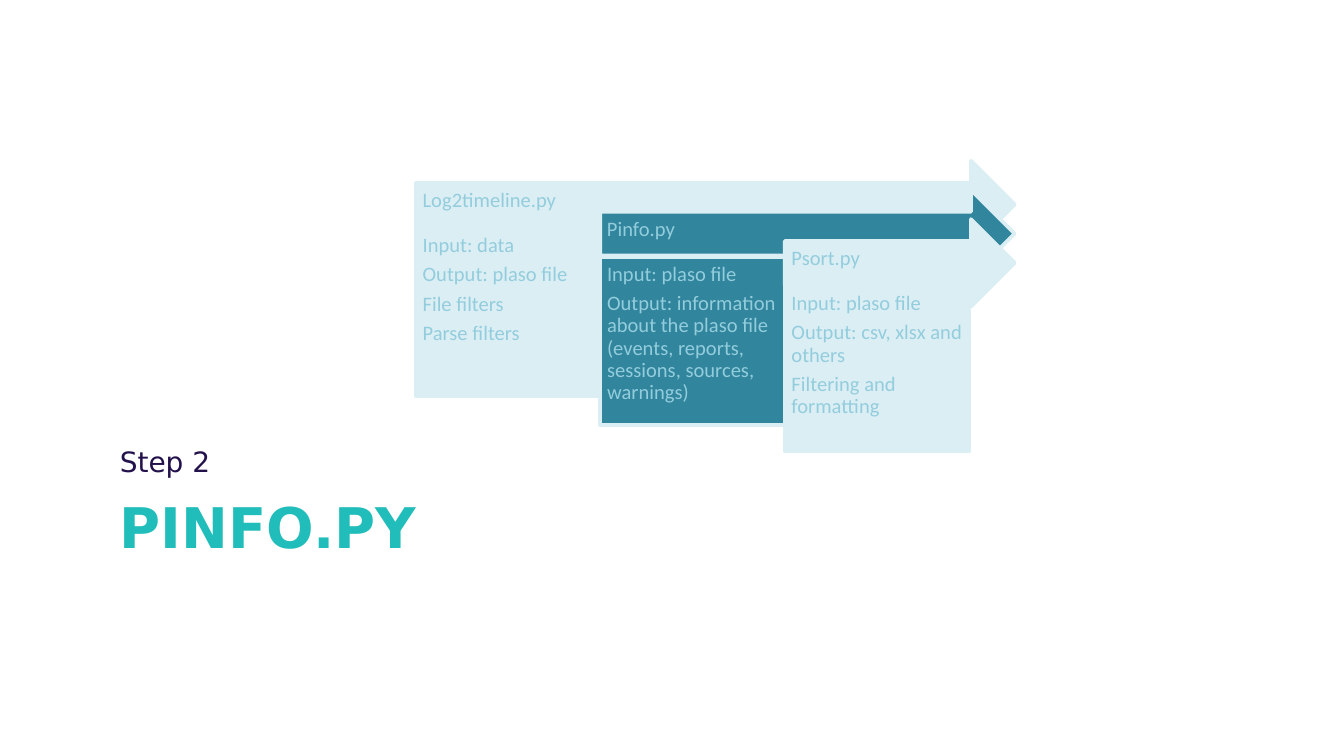
from pptx import Presentation
from pptx.dml.color import RGBColor
from pptx.enum import shapes, text
from pptx.util import Pt

PALE, DEEP, SKY = "DBEEF4", "31859C", "93CDDD"
TEAL, NAVY = "20BDBA", "23114C"


def rgb(value):
    return RGBColor.from_string(value)


class StepSlide:
    label_font = "Calibri"
    heading_font = "DejaVu Sans"

    def __init__(self, slide):
        self.slide = slide

    def format_runs(self, paragraph, font, size, color, bold=False):
        for run in paragraph.runs:
            run.font.name = font
            run.font.size = Pt(size)
            run.font.bold = bold
            run.font.color.rgb = rgb(color)

    def heading(self, placeholder, wording, top, height, size, color, anchor, bold=False):
        placeholder.left, placeholder.top = Pt(57), Pt(top)
        placeholder.width, placeholder.height = Pt(612), Pt(height)
        frame = placeholder.text_frame
        frame.text = wording
        frame.word_wrap = True
        frame.auto_size = text.MSO_AUTO_SIZE.NONE
        frame.vertical_anchor = anchor
        paragraph = frame.paragraphs[0]
        paragraph.alignment = text.PP_ALIGN.LEFT
        paragraph.space_before = Pt(0)
        self.format_runs(paragraph, self.heading_font, size, color, bold)

    def block(self, kind, left, top, width, height, fill, wording, anchor, inset_bottom):
        block = self.slide.shapes.add_shape(kind, Pt(left), Pt(top), Pt(width), Pt(height))
        block.shadow.inherit = False
        block.fill.solid()
        block.fill.fore_color.rgb = rgb(fill)
        block.line.color.rgb = rgb(PALE)
        block.line.width = Pt(2)
        frame = block.text_frame
        frame.text = wording
        frame.word_wrap = True
        frame.vertical_anchor = anchor
        frame.margin_left = frame.margin_top = frame.margin_right = Pt(3.6)
        frame.margin_bottom = Pt(inset_bottom)
        for paragraph in frame.paragraphs:
            paragraph.alignment = text.PP_ALIGN.LEFT
            paragraph.line_spacing = 0.9
            paragraph.space_after = Pt(3.85)
            self.format_runs(paragraph, self.label_font, 11, SKY)

    def arrow(self, left, top, width, fill, tool):
        self.block(shapes.MSO_SHAPE.RIGHT_ARROW, left, top, width, 46.8, fill,
                   tool, text.MSO_ANCHOR.MIDDLE, 7.4)

    def panel(self, left, top, height, fill, details):
        self.block(shapes.MSO_SHAPE.RECTANGLE, left, top, 98.8, height, fill,
                   "\n".join(details), text.MSO_ANCHOR.TOP, 3.6)


def main():
    deck = Presentation()
    deck.slide_width, deck.slide_height = Pt(720), Pt(405)
    slide = deck.slides.add_slide(deck.slide_layouts.get_by_name("Section Header"))
    step = StepSlide(slide)

    # Title and step number
    step.heading(slide.shapes.title, "PINFO.PY", 260, 80.5, 30, TEAL,
                 text.MSO_ANCHOR.TOP, bold=True)
    step.heading(slide.placeholders[1], "Step 2", 171.4, 88.6, 15, NAVY,
                 text.MSO_ANCHOR.BOTTOM)

    # Staggered tools: name, fill, panel height, details
    tools = [
        ("Log2timeline.py", PALE, 90,
         ["Input: data", "Output: plaso file", "File filters", "Parse filters"]),
        ("Pinfo.py", DEEP, 90,
         ["Input: plaso file",
          "Output: information about the plaso file "
          "(events, reports, sessions, sources, warnings)"]),
        ("Psort.py", PALE, 88.6,
         ["Input: plaso file", "Output: csv, xlsx and others",
          "Filtering and formatting"]),
    ]
    arrow_tip = 543.6
    for index, (tool, fill, height, details) in enumerate(tools):
        left = 222.8 + index * 98.8
        top = 86.2 + index * 15.6
        step.arrow(left, top, arrow_tip - left, fill, tool)
        step.panel(left, top + 35.9, height, fill, details)

    deck.save("out.pptx")


if __name__ == "__main__":
    main()
